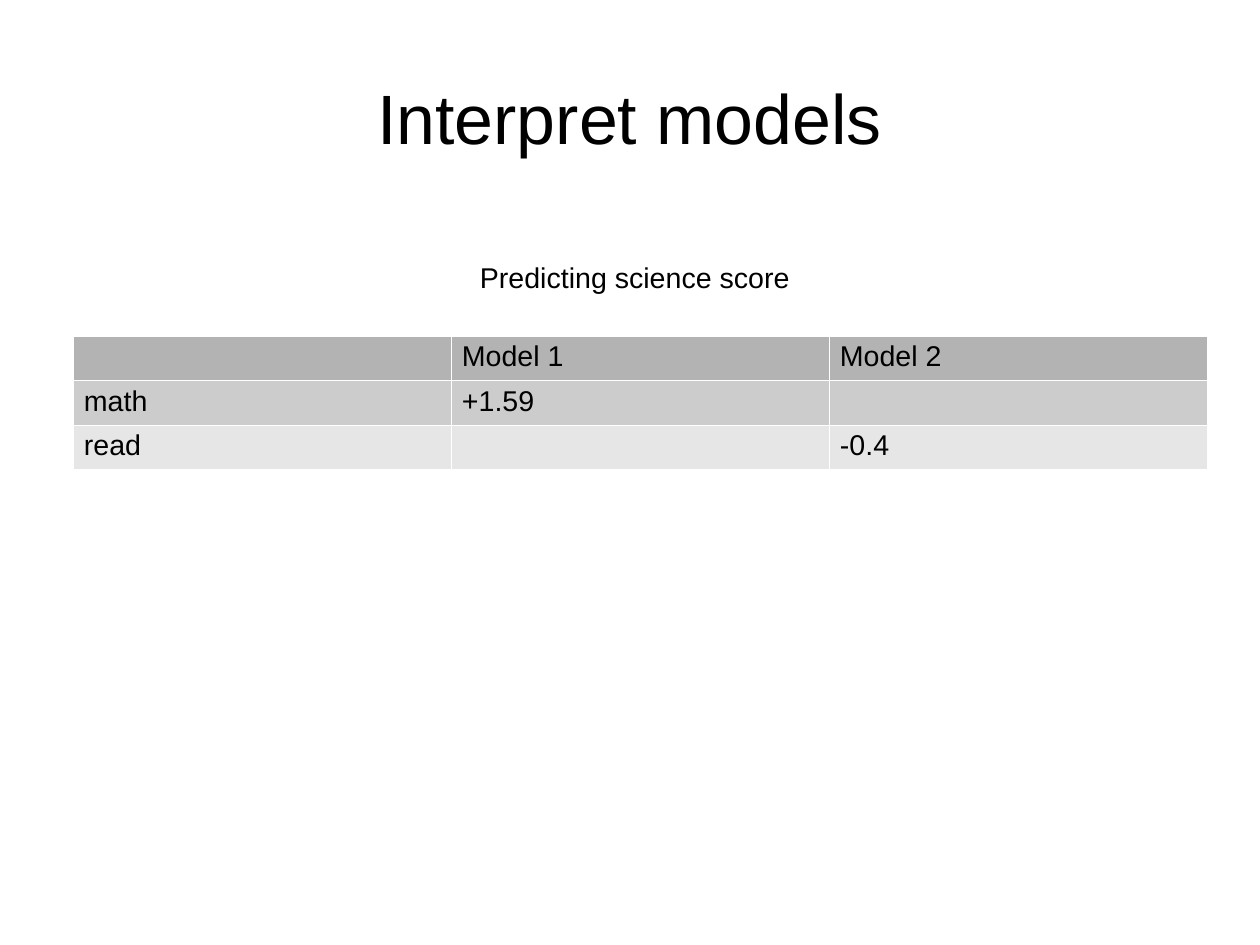
import lxml.etree
import pptx
import pptx.dml.color
import pptx.enum.text
import pptx.oxml.ns
import pptx.util

SCALE = 8000
BLACK = pptx.dml.color.RGBColor(0x00, 0x00, 0x00)
WHITE = pptx.dml.color.RGBColor(0xFF, 0xFF, 0xFF)
DARK = pptx.dml.color.RGBColor(0xB3, 0xB3, 0xB3)
MID = pptx.dml.color.RGBColor(0xCC, 0xCC, 0xCC)
LIGHT = pptx.dml.color.RGBColor(0xE6, 0xE6, 0xE6)
ALIGN = pptx.enum.text.PP_ALIGN
ANCHOR = pptx.enum.text.MSO_ANCHOR
ROWS = [
    (DARK, ["", "Model 1", "Model 2"]),
    (MID, ["math", "+1.59", ""]),
    (LIGHT, ["read", "", "-0.4"]),
]


def px(*sizes):
    """Turn whole pixels into EMU."""
    return [pptx.util.Emu(size * SCALE) for size in sizes]


def write(frame, text, size=18, color=BLACK, align=ALIGN.LEFT):
    """Put one formatted line of text into a text frame."""
    line = frame.paragraphs[0]
    line.alignment = align
    run = line.add_run()
    run.text = text
    run.font.name = "Arial"
    run.font.size = pptx.util.Pt(size)
    run.font.bold = False
    run.font.color.rgb = color


def inset(item, side, edge):
    """Set the side and edge margins of a text frame or cell."""
    item.margin_left, item.margin_right = px(side, side)
    item.margin_top, item.margin_bottom = px(edge, edge)


def add_label(slide, text, box, side=11, edge=6, anchor=ANCHOR.TOP, **style):
    """Add a text box with one line of text."""
    frame = slide.shapes.add_textbox(*px(*box)).text_frame
    frame.word_wrap = True
    frame.vertical_anchor = anchor
    inset(frame, side, edge)
    write(frame, text, **style)


def edge_cell(cell, color, width):
    """Draw a thin border on all four sides of a cell."""
    props = cell._tc.get_or_add_tcPr()
    qn = pptx.oxml.ns.qn
    for side in "LRTB":
        line = lxml.etree.SubElement(props, qn(f"a:ln{side}"), w=str(pptx.util.Pt(width)))
        fill = lxml.etree.SubElement(line, qn("a:solidFill"))
        lxml.etree.SubElement(fill, qn("a:srgbClr"), val=str(color))


def add_grid(slide, rows, left, top, wide, high):
    """Add a table with one fill per row."""
    count = len(rows[0][1])
    box = px(left, top, wide * count, high * len(rows))
    grid = slide.shapes.add_table(len(rows), count, *box).table
    grid.first_row = grid.horz_banding = False
    for row, (color, texts) in enumerate(rows):
        for col, text in enumerate(texts):
            cell = grid.cell(row, col)
            inset(cell, 11, 5)
            edge_cell(cell, WHITE, 0.06)
            cell.fill.solid()
            cell.fill.fore_color.rgb = color
            if text:
                write(cell.text_frame, text)


def main():
    """Build the slide and save it."""
    deck = pptx.Presentation()
    deck.slide_width, deck.slide_height = px(1260, 945)
    slide = deck.slides.add_slide(deck.slide_layouts[6])
    add_label(slide, "Interpret models", (63, 38, 1134, 158), side=0, edge=0,
              anchor=ANCHOR.MIDDLE, size=44, align=ALIGN.CENTER)
    add_grid(slide, ROWS, 73, 336, 378, 43)
    add_label(slide, "Predicting science score", (469, 254, 514, 43))
    deck.save("out.pptx")


main()
